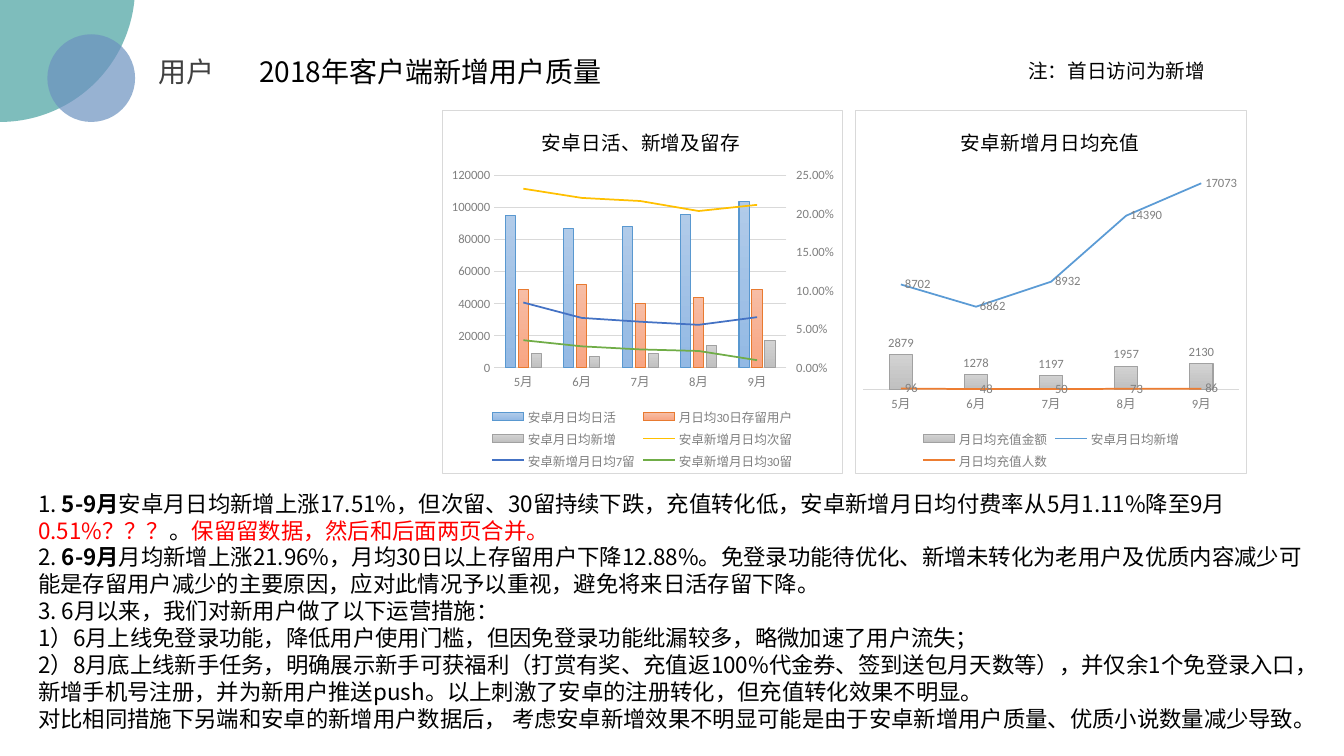
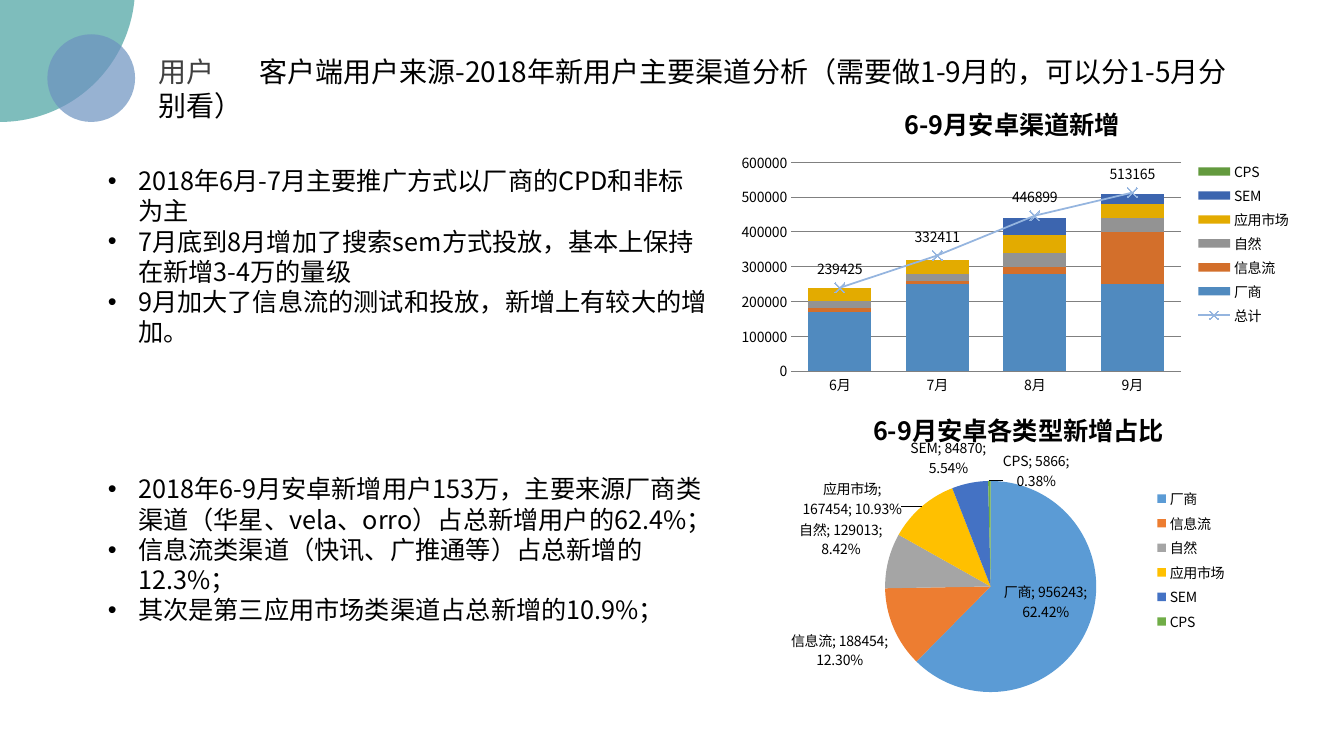
"""Builds two slides on the quality and the sources of new client users in 2018."""
from copy import deepcopy
from lxml.etree import SubElement
from pptx import Presentation
from pptx.chart.axis import ValueAxis
from pptx.chart.data import CategoryChartData
from pptx.dml.color import RGBColor
from pptx.enum.chart import XL_CHART_TYPE, XL_LABEL_POSITION, XL_LEGEND_POSITION, XL_MARKER_STYLE, XL_TICK_MARK
from pptx.enum.shapes import MSO_SHAPE
from pptx.enum.text import MSO_ANCHOR, MSO_AUTO_SIZE, PP_ALIGN
from pptx.oxml import parse_xml
from pptx.oxml.ns import nsdecls, qn
from pptx.util import Inches, Pt

CJK = "Noto Sans CJK SC"
BLACK, RED, DARK, GREY, PALE = "000000", "FF0000", "404040", "808080", "D9D9D9"
BLUE, ORANGE, SILVER, GOLD, NAVY, GREEN = "5B9BD5", "ED7D31", "A5A5A5", "FFC000", "4472C4", "70AD47"
BLUE_FADE = ("B1CBE9", "93B9E4", "5998D0")
ORANGE_FADE = ("F7BDA5", "F8A582", "E87A30")
SILVER_FADE = ("D2D2D2", "C0C0C0", "A1A1A1")
CIRCLES = [((-1.34, -1.47, 2.68, 2.68), "48A2A0"), ((0.47, 0.34, 0.87, 0.87), "6C92C0")]
SECTION = "用户"

QUALITY_TITLE = "2018年客户端新增用户质量"
QUALITY_NOTE = "注：首日访问为新增"
FINDINGS = [
    [("1. ", ""), ("5-9月", "bold"),
     ("安卓月日均新增上涨17.51%，但次留、30留持续下跌，充值转化低，安卓新增月日均付费率从5月1.11%降至9月", ""),
     ("0.51%？？？", "red"), ("。", ""), ("保留留数据，然后和后面两页合并。", "red")],
    [("2. ", ""), ("6-9月", "bold"),
     ("月均新增上涨21.96%，月均30日以上存留用户下降12.88%。免登录功能待优化、新增未转化为老用户"
      "及优质内容减少可能是存留用户减少的主要原因，应对此情况予以重视，避免将来日活存留下降。", "")],
    [("3. 6月以来，我们对新用户做了以下运营措施：", "")],
    [("1）6月上线免登录功能，降低用户使用门槛，但因免登录功能纰漏较多，略微加速了用户流失；", "")],
    [("2）8月底上线新手任务，明确展示新手可获福利（打赏有奖、充值返100%代金券、签到送包月天数等），"
      "并仅余1个免登录入口，新增手机号注册，并为新用户推送push。以上刺激了安卓的注册转化，但充值转化效果不明显。", "")],
    [("对比相同措施下另端和安卓的新增用户数据后， 考虑安卓新增效果不明显可能是由于安卓新增用户质量、"
      "优质小说数量减少导致。", "")],
]
SOURCE_TITLE = "客户端用户来源-2018年新用户主要渠道分析（需要做1-9月的，可以分1-5月分别看）"
SOURCE_LISTS = [
    ((0.97, 1.59, 6.15, 1.92), [
        "2018年6月-7月主要推广方式以厂商的CPD和非标为主",
        "7月底到8月增加了搜索sem方式投放，基本上保持在新增3-4万的量级",
        "9月加大了信息流的测试和投放，新增上有较大的增加。"]),
    ((0.97, 4.65, 6.25, 1.92), [
        "2018年6-9月安卓新增用户153万，主要来源厂商类渠道（华星、vela、orro）占总新增用户的62.4%；",
        "信息流类渠道（快讯、广推通等）占总新增的12.3%；",
        "其次是第三应用市场类渠道占总新增的10.9%；"]),
]

MONTHS = ["5月", "6月", "7月", "8月", "9月"]
SMALL = {"font": "Calibri", "size": 9, "color": GREY, "grid": PALE, "title_size": 14, "bold": False,
         "border": PALE, "legend": XL_LEGEND_POSITION.BOTTOM, "gap": 219, "overlap": -27,
         "kind": XL_CHART_TYPE.COLUMN_CLUSTERED, "cats": MONTHS}
LARGE = {"font": CJK, "size": 10, "color": BLACK, "grid": GREY, "title_size": 18, "bold": True,
         "border": None, "legend": XL_LEGEND_POSITION.RIGHT}
RETENTION = SMALL | {
    "at": (4.38, 1.09, 3.98, 3.61), "title": "安卓日活、新增及留存", "title_at": (0.24, 0.03),
    "plot": (0.13, 0.18, 0.73, 0.53), "top": 120000, "step": 20000, "right": (0.25, 0.05),
    "columns": [("安卓月日均日活", [95000, 87000, 88000, 96000, 104000], BLUE_FADE),
                ("月日均30日存留用户", [49000, 52000, 40000, 44000, 49000], ORANGE_FADE),
                ("安卓月日均新增", [9000, 7000, 9000, 14000, 17000], SILVER_FADE)],
    "lines": [("安卓新增月日均次留", [0.233, 0.221, 0.217, 0.204, 0.212], GOLD),
              ("安卓新增月日均7留", [0.085, 0.065, 0.06, 0.056, 0.066], NAVY),
              ("安卓新增月日均30留", [0.036, 0.028, 0.024, 0.022, 0.01], GREEN)]}
RECHARGE = SMALL | {
    "at": (8.48, 1.09, 3.89, 3.61), "title": "安卓新增月日均充值", "title_at": (0.26, 0.03),
    "plot": (0.02, 0.17, 0.96, 0.6), "top": 18000, "step": 2000, "hide_values": True,
    "column_labels": XL_LABEL_POSITION.OUTSIDE_END, "line_labels": XL_LABEL_POSITION.RIGHT,
    "columns": [("月日均充值金额", [2879, 1278, 1197, 1957, 2130], SILVER_FADE)],
    "lines": [("安卓月日均新增", [8702, 6862, 8932, 14390, 17073], BLUE),
              ("月日均充值人数", [96, 48, 50, 73, 86], ORANGE)]}
CHANNELS = LARGE | {
    "at": (7.22, 0.87, 5.69, 3.09), "title": "6-9月安卓渠道新增", "title_at": (0.3, 0.03),
    "plot": (0.11, 0.24, 0.68, 0.67), "top": 600000, "step": 100000,
    "kind": XL_CHART_TYPE.COLUMN_STACKED, "cats": ["6月", "7月", "8月", "9月"], "gap": 55, "overlap": 100,
    "line_labels": XL_LABEL_POSITION.ABOVE, "marker": XL_MARKER_STYLE.X,
    "columns": [("厂商", [170000, 250000, 280000, 250000], "508ABF"),
                ("信息流", [10000, 10000, 20000, 150000], "D36F2B"),
                ("自然", [20000, 20000, 40000, 40000], "939393"),
                ("应用市场", [40000, 40000, 50000, 40000], "E3AB00"),
                ("SEM", [0, 0, 50000, 30000], "3C65AF"),
                ("CPS", [0, 0, 0, 0], "639A3E")],
    "lines": [("总计", [239425, 332411, 446899, 513165], "95B5DF")]}
SHARES = LARGE | {
    "at": (7.53, 3.91, 5.16, 3.08), "title": "6-9月安卓各类型新增占比", "title_at": (0.21, 0.03),
    "plot": (0.23, 0.28, 0.43, 0.68), "legend_at": (0.75, 0.29, 0.16, 0.49), "kind": XL_CHART_TYPE.PIE,
    "cats": [name for name, _, _ in CHANNELS["columns"]], "lines": [],
    "columns": [("Series 1", [956243, 188454, 129013, 167454, 84870, 5866], None)],
    "slices": [BLUE, ORANGE, SILVER, GOLD, NAVY, GREEN], "shifted_label": (5, 0.09, 0.05)}

LINE_PLOT = ('<c:lineChart %s><c:grouping val="standard"/><c:varyColors val="0"/><c:marker val="1"/>'
             '<c:axId val="501"/><c:axId val="502"/></c:lineChart>')
RIGHT_AXIS = ('<c:valAx %s><c:axId val="502"/><c:scaling><c:orientation val="minMax"/></c:scaling>'
              '<c:delete val="0"/><c:axPos val="r"/><c:majorTickMark val="none"/><c:minorTickMark val="none"/>'
              '<c:tickLblPos val="nextTo"/><c:crossAx val="501"/><c:crosses val="max"/>'
              '<c:crossBetween val="between"/></c:valAx>')
HIDDEN_CATEGORIES = ('<c:catAx %s><c:axId val="501"/><c:scaling><c:orientation val="minMax"/></c:scaling>'
                     '<c:delete val="1"/><c:axPos val="b"/><c:crossAx val="502"/></c:catAx>')
SHIFTED_LABEL = ('<c:dLbl %s><c:idx val="%d"/><c:layout><c:manualLayout><c:x val="%s"/><c:y val="%s"/>'
                 '</c:manualLayout></c:layout></c:dLbl>')


def rgb(color):
    return RGBColor.from_string(color)


def box(at):
    return [Inches(length) for length in at]


def style_font(font, size, color, name, bold=False):
    font.size, font.name, font.bold = Pt(size), name, bold
    font.color.rgb = rgb(color)


def style_run(run, size, color=BLACK, name=CJK, bold=False):
    style_font(run.font, size, color, name, bold)
    SubElement(run.font._element, qn("a:ea")).set("typeface", CJK)


def place(holder, at):
    holder.left, holder.top, holder.width, holder.height = box(at)
    frame = holder.text_frame
    frame.word_wrap, frame.auto_size, frame.vertical_anchor = True, MSO_AUTO_SIZE.NONE, MSO_ANCHOR.TOP
    return frame


def style_paragraph(paragraph, size, indent=0):
    paragraph.alignment, paragraph.space_before = PP_ALIGN.LEFT, Pt(0)
    paragraph.line_spacing = Pt(round(size * 1.2, 1))
    props = paragraph._p.get_or_add_pPr()
    props.set("marL", str(Inches(indent)))
    props.set("indent", str(-Inches(indent)))
    return props


def add_titled_slide(deck, layout, title, gap):
    slide = deck.slides.add_slide(deck.slide_layouts[layout])
    for at, color in CIRCLES:
        circle = slide.shapes.add_shape(MSO_SHAPE.OVAL, *box(at))
        circle.shadow.inherit = False
        circle.fill.solid()
        circle.fill.fore_color.rgb = rgb(color)
        SubElement(circle.fill._xPr.find(".//" + qn("a:srgbClr")), qn("a:alpha")).set("val", "70000")
        circle.line.fill.background()
    heading = place(slide.shapes.title, (1.47, 0.49, 10.89, 0.77)).paragraphs[0]
    tabs = SubElement(style_paragraph(heading, 20), qn("a:tabLst"))
    stop = SubElement(tabs, qn("a:tab"))
    stop.set("pos", str(Inches(gap)))
    stop.set("algn", "l")
    for text, color in ((SECTION + "\t", DARK), (title, BLACK)):
        run = heading.add_run()
        run.text = text
        style_run(run, 20, color)
    return slide


def set_layout(parent, index, at, inner=False):
    layout = parent.find(qn("c:layout"))
    if layout is not None:
        parent.remove(layout)
    layout = parse_xml("<c:layout %s><c:manualLayout/></c:layout>" % nsdecls("c"))
    parent.insert(index, layout)
    settings = [("layoutTarget", "inner")] * inner + [("xMode", "edge"), ("yMode", "edge"), *zip("xywh", at)]
    for tag, value in settings:
        SubElement(layout[0], qn("c:" + tag)).set("val", str(value))


def style_axis(axis, spec, top, step, number_format, tick=XL_TICK_MARK.NONE):
    axis.minimum_scale, axis.maximum_scale, axis.major_unit = 0, top, step
    axis.major_tick_mark = tick
    axis.format.line.fill.background()
    axis.tick_labels.number_format = number_format
    axis.tick_labels.number_format_is_linked = False
    style_font(axis.tick_labels.font, spec["size"], spec["color"], spec["font"])


def label_series(series, spec, position):
    labels = series.data_labels
    labels.show_value, labels.position = True, position
    labels.number_format, labels.number_format_is_linked = "0", False
    style_font(labels.font, spec["size"], spec["color"], spec["font"])


def split_lines(chart, count):
    columns, left = chart.plots[0]._element, chart.value_axis
    line_plot = parse_xml(LINE_PLOT % nsdecls("c"))
    columns.addnext(line_plot)
    for series in columns.findall(qn("c:ser"))[count:]:
        for flag in series.findall(qn("c:invertIfNegative")):
            series.remove(flag)
        line_plot.find(qn("c:marker")).addprevious(series)
    right = parse_xml(RIGHT_AXIS % nsdecls("c"))
    left._element.addnext(right)
    right.addnext(parse_xml(HIDDEN_CATEGORIES % nsdecls("c")))
    return left, ValueAxis(right)


def style_columns(chart, spec):
    values, right = split_lines(chart, len(spec["columns"]))
    columns, lines = chart.plots
    columns.gap_width, columns.overlap = spec["gap"], spec["overlap"]
    columns.vary_by_categories = False
    for series, (_, _, color) in zip(columns.series, spec["columns"]):
        fill = series.format.fill
        if isinstance(color, tuple):
            fill.gradient()
            fill.gradient_angle = 270
            for stop, shade in zip(fill.gradient_stops, color):
                stop.color.rgb = rgb(shade)
            series.format.line.color.rgb = rgb(color[2])
            series.format.line.width = Pt(0.75)
        else:
            fill.solid()
            fill.fore_color.rgb = rgb(color)
        if "column_labels" in spec:
            label_series(series, spec, spec["column_labels"])
    for series, (_, _, color) in zip(lines.series, spec["lines"]):
        series.smooth = False
        series.format.line.color.rgb = rgb(color)
        series.format.line.width = Pt(1.25)
        series.marker.style = spec.get("marker", XL_MARKER_STYLE.NONE)
        if "marker" in spec:
            series.marker.size = 7
            series.marker.format.line.color.rgb = rgb(color)
        if "line_labels" in spec:
            label_series(series, spec, spec["line_labels"])
    months = chart.category_axis
    months.major_tick_mark = XL_TICK_MARK.NONE
    months.format.line.color.rgb = rgb(spec["grid"])
    style_font(months.tick_labels.font, spec["size"], spec["color"], spec["font"])
    style_axis(values, spec, spec["top"], spec["step"], "0")
    style_axis(right, spec, *spec.get("right", (spec["top"], spec["step"])), "0.00%", XL_TICK_MARK.OUTSIDE)
    right.visible = "right" in spec
    values.visible = values.has_major_gridlines = not spec.get("hide_values")
    if values.visible:
        values.major_gridlines.format.line.color.rgb = rgb(spec["grid"])
        values.major_gridlines.format.line.width = Pt(0.75)


def style_pie(chart, spec):
    pie = chart.plots[0].series[0]
    for index, color in enumerate(spec["slices"]):
        fill = pie.points[index].format.fill
        fill.solid()
        fill.fore_color.rgb = rgb(color)
    label_series(pie, spec, XL_LABEL_POSITION.BEST_FIT)
    labels = pie.data_labels
    labels.show_category_name = labels.show_percentage = True
    labels.number_format = "0.00%"
    separator = parse_xml("<c:separator %s>; </c:separator>" % nsdecls("c"))
    labels._element.find(qn("c:showBubbleSize")).addnext(separator)
    shifted = parse_xml(SHIFTED_LABEL % (nsdecls("c"), *spec["shifted_label"]))
    for setting in labels._element:
        if setting.tag != qn("c:showLeaderLines"):
            shifted.append(deepcopy(setting))
    labels._element.insert(0, shifted)


def add_styled_chart(slide, spec):
    data = CategoryChartData()
    data.categories = spec["cats"]
    for name, values, _ in spec["columns"] + spec["lines"]:
        data.add_series(name, values)
    chart = slide.shapes.add_chart(spec["kind"], *box(spec["at"]), data).chart
    style_font(chart.font, spec["size"], spec["color"], spec["font"])
    chart.has_title = chart.has_legend = True
    title = chart.chart_title.text_frame
    title.text = spec["title"]
    style_run(title.paragraphs[0].runs[0], spec["title_size"], BLACK, spec["font"], spec["bold"])
    set_layout(chart.chart_title._element, 1, spec["title_at"])
    chart.legend.position, chart.legend.include_in_layout = spec["legend"], False
    style_font(chart.legend.font, spec["size"], spec["color"], spec["font"])
    if "legend_at" in spec:
        set_layout(chart.legend._element, 1, spec["legend_at"])
    (style_columns if spec["lines"] else style_pie)(chart, spec)
    space = chart._chartSpace
    set_layout(space.chart.plotArea, 0, spec["plot"], inner=True)
    solid = '<a:solidFill><a:srgbClr val="%s"/></a:solidFill>'
    fill, line = (solid % "FFFFFF", solid % spec["border"]) if spec["border"] else ("<a:noFill/>",) * 2
    space.chart.addnext(parse_xml('<c:spPr %s>%s<a:ln w="9525">%s</a:ln></c:spPr>' % (nsdecls("c", "a"), fill, line)))


def build_quality(deck):
    slide = add_titled_slide(deck, 1, QUALITY_TITLE, 0.83)
    findings = place(slide.placeholders[1], (0.28, 4.81, 12.77, 2.69))
    for index, parts in enumerate(FINDINGS):
        paragraph = findings.add_paragraph() if index else findings.paragraphs[0]
        SubElement(style_paragraph(paragraph, 16), qn("a:buNone"))
        for text, look in parts:
            run = paragraph.add_run()
            run.text = text
            style_run(run, 16, RED if look == "red" else BLACK, bold=look == "bold")
    note = place(slide.shapes.add_textbox(0, 0, 0, 0), (10.1, 0.54, 2.62, 0.34))
    note.text = QUALITY_NOTE
    style_run(note.paragraphs[0].runs[0], 14, name="Arial")
    for spec in (RETENTION, RECHARGE):
        add_styled_chart(slide, spec)


def build_sources(deck):
    slide = add_titled_slide(deck, 3, SOURCE_TITLE, 0.77)
    for index, (at, points) in enumerate(SOURCE_LISTS, 1):
        frame = place(slide.placeholders[index], at)
        frame.text = "\n".join(points)
        for paragraph in frame.paragraphs:
            style_paragraph(paragraph, 18, 0.3)
            style_run(paragraph.runs[0], 18)
    for spec in (SHARES, CHANNELS):
        add_styled_chart(slide, spec)


def main():
    deck = Presentation()
    deck.slide_width, deck.slide_height = Inches(13.33), Inches(7.5)
    build_quality(deck)
    build_sources(deck)
    deck.save("out.pptx")


if __name__ == "__main__":
    main()
